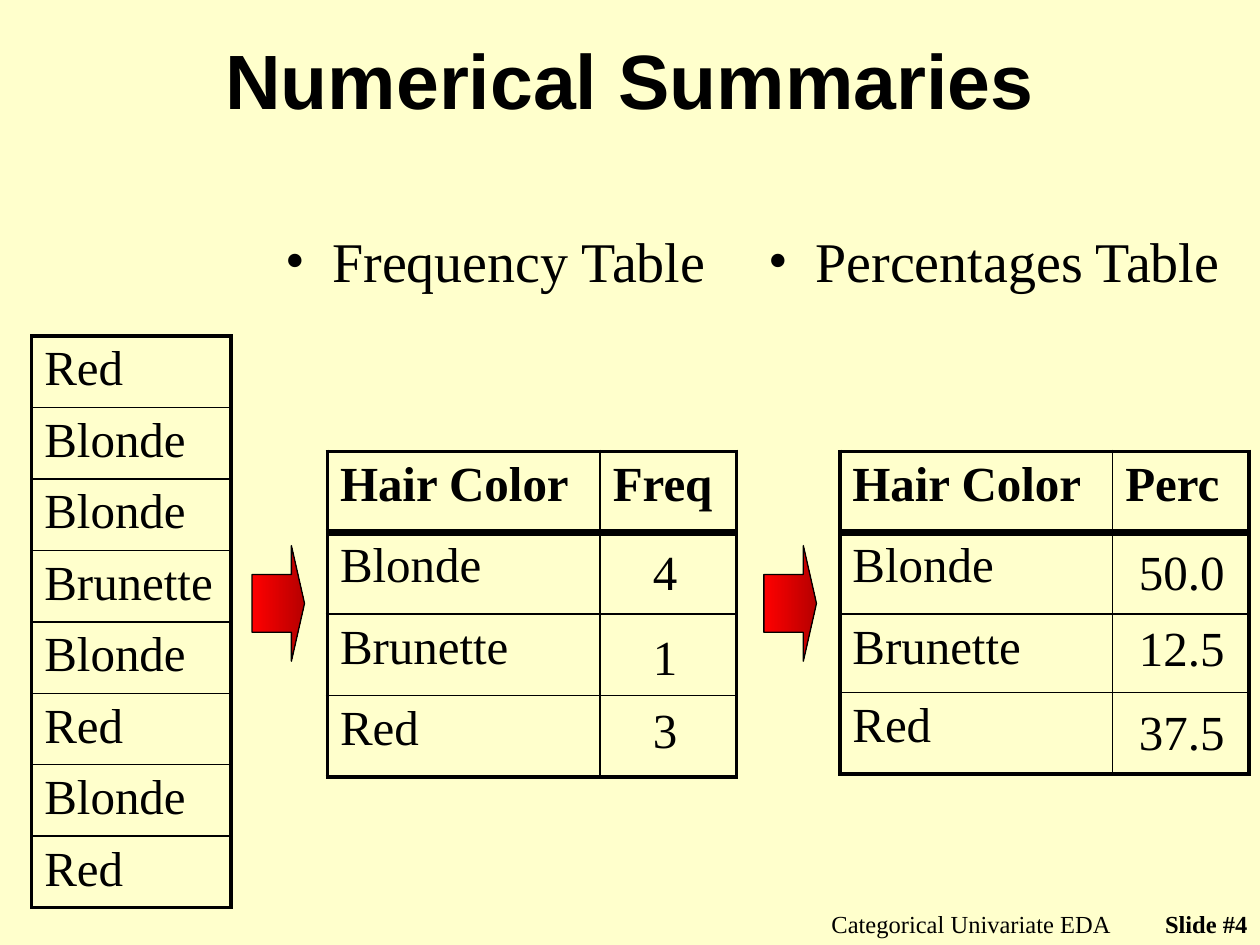
from dataclasses import dataclass

from lxml.etree import SubElement
from pptx import Presentation
from pptx.dml.color import RGBColor
from pptx.enum.shapes import MSO_SHAPE
from pptx.enum.text import MSO_ANCHOR, PP_ALIGN
from pptx.oxml.ns import qn
from pptx.util import Cm, Pt


@dataclass(frozen=True)
class Theme:
    background: RGBColor = RGBColor(0xFF, 0xFF, 0xCC)
    ink: RGBColor = RGBColor(0, 0, 0)
    arrow_start: RGBColor = RGBColor(0xFF, 0, 0)
    arrow_end: RGBColor = RGBColor(0xB6, 0, 0)
    heading_font: str = "Arial"
    body_font: str = "Times New Roman"
    title_size: int = 44
    bullet_size: int = 32
    table_size: int = 28
    footer_size: int = 14
    inner_line: float = 1
    outer_line: float = 2.25
    header_line: float = 4.5


THEME = Theme()
HAIR_COLORS = ["Red", "Blonde", "Blonde", "Brunette", "Blonde", "Red", "Blonde", "Red"]
SUMMARY_TOP = 9.1
ROW_HEIGHT = 1.64


def add_span(para, text, size, bold=False, font=THEME.body_font):
    span = para.add_run()
    span.text = text
    span.font.name = font
    span.font.size = Pt(size)
    span.font.bold = bold
    span.font.color.rgb = THEME.ink


def add_text(page, area, text, size, bold=False, font=THEME.body_font,
             align=PP_ALIGN.LEFT, anchor=MSO_ANCHOR.TOP, wrap=True):
    box = page.shapes.add_textbox(*map(Cm, area))
    frame = box.text_frame
    frame.word_wrap = wrap
    frame.vertical_anchor = anchor
    para = frame.paragraphs[0]
    para.alignment = align
    add_span(para, text, size, bold, font)
    return para


def add_bullet(page, left, width, text):
    para = add_text(page, (left, 4.45, width, 1.7), text, THEME.bullet_size)
    properties = para._p.get_or_add_pPr()
    properties.set("marL", str(Cm(0.95)))
    properties.set("indent", str(-Cm(0.95)))
    SubElement(properties, qn("a:buFont"), typeface=THEME.body_font)
    SubElement(properties, qn("a:buChar"), char="•")


def set_borders(cell, left, right, top, bottom):
    """Draw the four cell edges, with widths in points."""
    properties = cell._tc.get_or_add_tcPr()
    for side, width in zip("LRTB", (left, right, top, bottom)):
        line = SubElement(properties, qn(f"a:ln{side}"), w=str(Pt(width)))
        fill = SubElement(line, qn("a:solidFill"))
        SubElement(fill, qn("a:srgbClr"), val=str(THEME.ink))


def add_grid(page, left, top, widths, heights, rows, has_header=False):
    """Add a table with a thick frame, thin inner lines and an optional bold header."""
    table = page.shapes.add_table(len(heights), len(widths), Cm(left), Cm(top),
                                  Cm(sum(widths)), Cm(sum(heights))).table
    table.first_row = has_header
    table.horz_banding = False
    for column, width in zip(table.columns, widths):
        column.width = Cm(width)
    for row, height in zip(table.rows, heights):
        row.height = Cm(height)

    outer, inner = THEME.outer_line, THEME.inner_line
    row_lines = [outer] + [inner] * (len(heights) - 1) + [outer]
    column_lines = [outer] + [inner] * (len(widths) - 1) + [outer]
    if has_header:
        row_lines[1] = THEME.header_line
    for r, texts in enumerate(rows):
        for c, text in enumerate(texts):
            cell = table.cell(r, c)
            set_borders(cell, *column_lines[c:c + 2], *row_lines[r:r + 2])
            cell.fill.background()
            para = cell.text_frame.paragraphs[0]
            if text:
                add_span(para, text, THEME.table_size, bold=has_header and r == 0)
            else:
                para.font.size = Pt(THEME.table_size)


def add_summary(page, left, heights, measure, values, value_left, value_width):
    """Add a summary table with its values in boxes over the second column."""
    rows = [("Hair Color", measure), ("Blonde", ""), ("Brunette", ""), ("Red", "")]
    add_grid(page, left, SUMMARY_TOP, (5.5, 2.75), heights, rows, has_header=True)
    for text, top in values:
        add_text(page, (value_left, top, value_width, 1.45), text,
                 THEME.table_size, wrap=False)


def add_arrow(page, left):
    arrow = page.shapes.add_shape(MSO_SHAPE.RIGHT_ARROW, Cm(left), Cm(11), Cm(1.06), Cm(2.33))
    arrow.shadow.inherit = False
    arrow.adjustments[0] = 0.5
    arrow.adjustments[1] = 0.25
    arrow.fill.gradient()
    arrow.fill.gradient_angle = 0
    for stop, color in zip(arrow.fill.gradient_stops, (THEME.arrow_start, THEME.arrow_end)):
        stop.color.rgb = color
    arrow.line.color.rgb = THEME.ink
    arrow.line.width = Pt(0.75)


def add_footer(page):
    add_text(page, (14.6, 18.2, 8.05, 0.64), "Categorical Univariate EDA",
             THEME.footer_size, align=PP_ALIGN.RIGHT)
    add_text(page, (22.65, 18.2, 2.75, 0.64), "Slide #4",
             THEME.footer_size, bold=True, align=PP_ALIGN.RIGHT)


def main():
    deck = Presentation()
    deck.slide_width, deck.slide_height = Cm(25.4), Cm(19.05)
    page = deck.slides.add_slide(deck.slide_layouts[6])
    page.background.fill.solid()
    page.background.fill.fore_color.rgb = THEME.background

    add_footer(page)
    add_text(page, (1.9, 0.42, 21.6, 2.33), "Numerical Summaries", THEME.title_size,
             bold=True, font=THEME.heading_font, align=PP_ALIGN.CENTER,
             anchor=MSO_ANCHOR.MIDDLE)
    add_grid(page, 0.64, 6.77, [4.02], [1.4] * len(HAIR_COLORS),
             [[color] for color in HAIR_COLORS])

    add_arrow(page, 5.08)
    add_bullet(page, 5.5, 9.1, "Frequency Table")
    add_summary(page, 6.6, [ROW_HEIGHT] * 4, "Freq",
                [("4", 10.8), ("1", 12.5), ("3", 13.97)], 12.91, 1.01)

    add_arrow(page, 15.4)
    add_bullet(page, 15.24, 9.95, "Percentages Table")
    add_summary(page, 16.93, [ROW_HEIGHT, ROW_HEIGHT, 1.58, ROW_HEIGHT], "Perc",
                [("50.0", 10.8), ("12.5", 12.33), ("37.5", 14.02)], 22.71, 2.25)

    deck.save("out.pptx")


if __name__ == "__main__":
    main()
